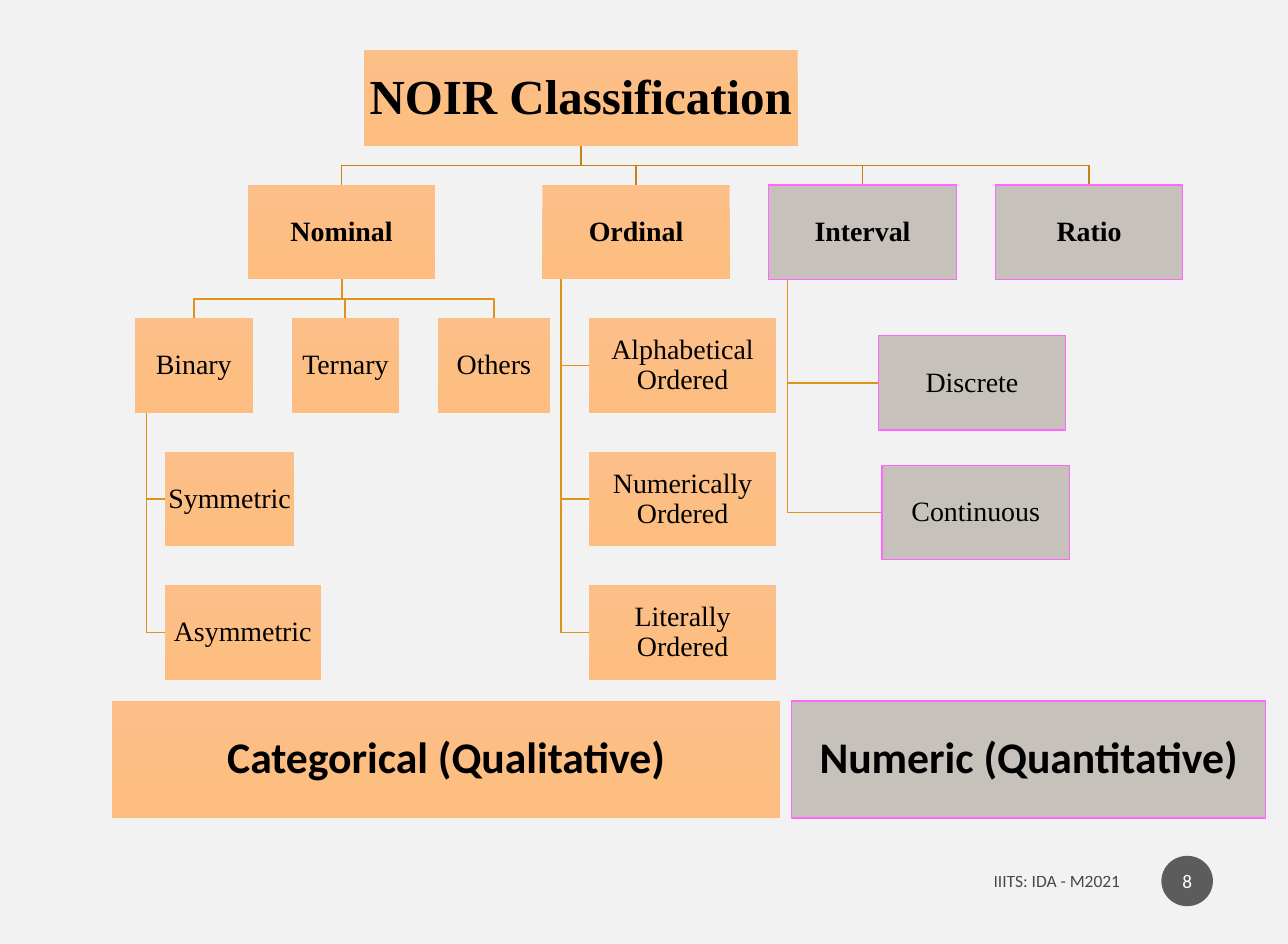
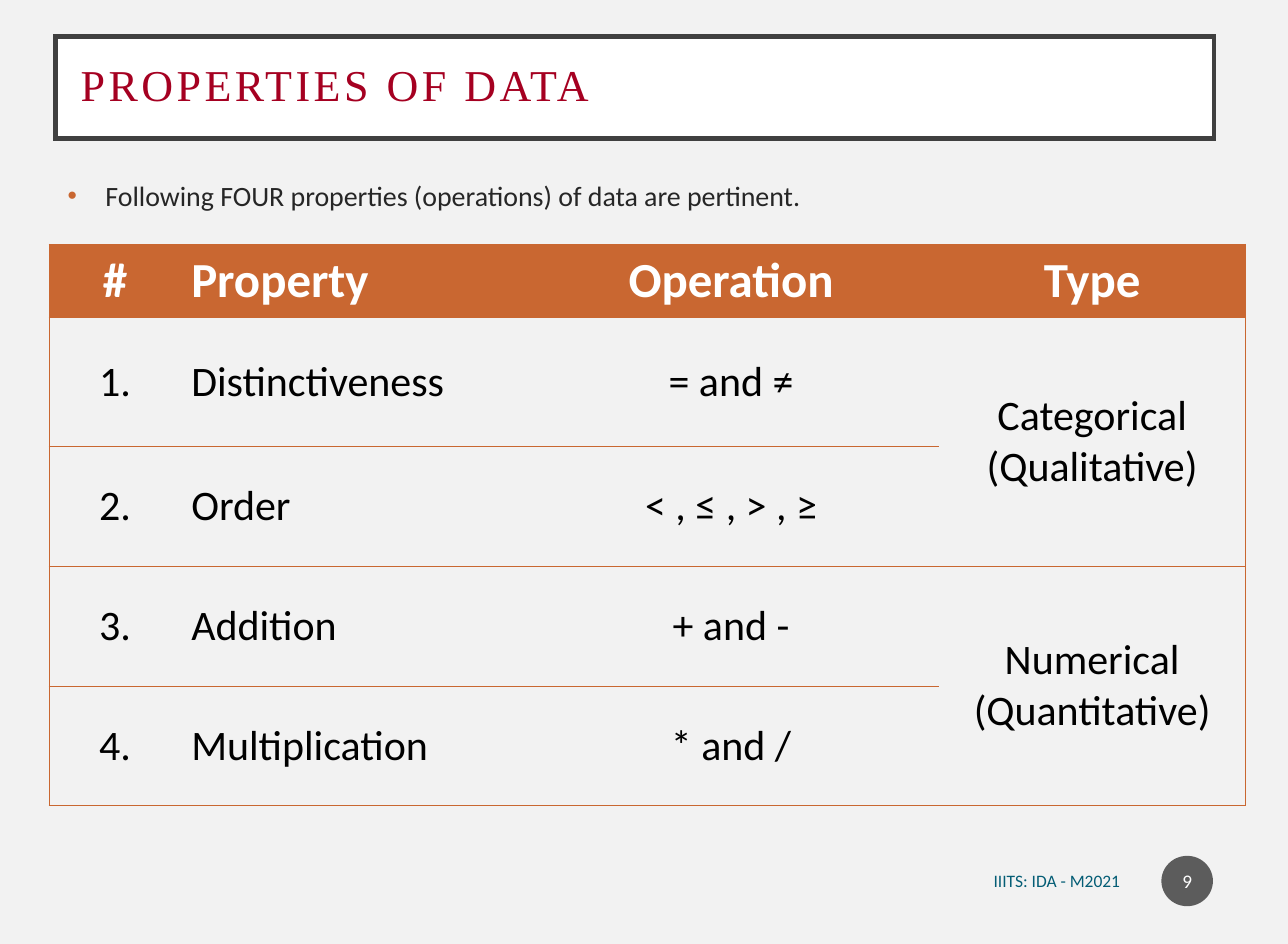
from dataclasses import dataclass

from lxml.etree import SubElement
from pptx import Presentation
from pptx.dml.color import RGBColor
from pptx.enum.shapes import MSO_SHAPE
from pptx.enum.text import MSO_ANCHOR, MSO_AUTO_SIZE, PP_ALIGN
from pptx.oxml import parse_xml
from pptx.oxml.ns import nsdecls, qn
from pptx.util import Cm, Inches, Pt


@dataclass(frozen=True)
class Theme:
    paper: str = "F2F2F2"
    white: str = "FFFFFF"
    ink: str = "000000"
    body_ink: str = "262626"
    badge: str = "1D1D1D"
    title_ink: str = "A50021"
    title_edge: str = "404040"
    accent: str = "C96731"
    footer_teal: str = "045D75"
    peach: tuple = ("FCBF87", "FDBD80")
    stone: str = "C6C1BA"
    stone_edge: str = "FF66FF"
    top_link: str = "C58217"
    link: str = "DF931A"
    serif: str = "Times New Roman"
    sans: str = "Calibri"
    root_size: float = 28
    node_size: float = 16
    band_size: float = 25
    title_size: float = 25.2
    head_size: float = 28
    cell_size: float = 24
    footer_size: float = 10
    badge_size: float = 11


THEME = Theme()
SLIDE_W, SLIDE_H = Cm(26), Cm(19.05)

# Content: the classification tree
FOOTER = "IIITS: IDA - M2021"
TIER_TOP, TIER_H, TIER_GAP = 1.47, 0.75, 0.31
WIDE = 1.49
ROOT = ("NOIR Classification", 2.89, 0.4, 3.45, 0.76)
# name, parent, numeric?, left, tier, width, how it joins its parent
NODES = [
    ("Nominal", "NOIR Classification", False, 1.97, 0, WIDE, "fan"),
    ("Ordinal", "NOIR Classification", False, 4.31, 0, WIDE, "fan"),
    ("Interval", "NOIR Classification", True, 6.11, 0, WIDE, "fan"),
    ("Ratio", "NOIR Classification", True, 7.91, 0, WIDE, "fan"),
    ("Binary", "Nominal", False, 1.07, 1, 0.94, "fan"),
    ("Ternary", "Nominal", False, 2.32, 1, 0.85, "fan"),
    ("Others", "Nominal", False, 3.48, 1, 0.89, "fan"),
    ("Symmetric", "Binary", False, 1.31, 2, 1.03, "hang"),
    ("Asymmetric", "Binary", False, 1.31, 3, 1.24, "hang"),
    ("Alphabetical Ordered", "Ordinal", False, 4.68, 1, WIDE, "hang"),
    ("Numerically Ordered", "Ordinal", False, 4.68, 2, WIDE, "hang"),
    ("Literally Ordered", "Ordinal", False, 4.68, 3, WIDE, "hang"),
    ("Discrete", "Interval", True, 6.98, 1.13, WIDE, "hang"),
    ("Continuous", "Interval", True, 7.01, 2.1, WIDE, "hang"),
]
BAND_TOP, BAND_H = 5.57, 0.93
BANDS = [
    ("Categorical (Qualitative)", False, 0.89, 5.31),
    ("Numeric (Quantitative)", True, 6.29, 3.77),
]

# Content: the properties table
TITLE = "PROPERTIES OF DATA"
LEAD = "Following FOUR properties (operations) of data are pertinent."
HEADER = ("#", "Property", "Operation", "Type")
PROPERTIES = [
    ("1.", "Distinctiveness", "= and ≠"),
    ("2.", "Order", "< , ≤ , > , ≥"),
    ("3.", "Addition", "+ and -"),
    ("4.", "Multiplication", "* and /"),
]
TYPES = {1: "Categorical\n(Qualitative)", 3: "Numerical\n(Quantitative)"}
COLUMNS = (1.05, 2.72, 3.3, 2.44)
ROWS = (0.58, 1.03, 0.95, 0.95, 0.95)


def rgb(code):
    return RGBColor.from_string(code)


def place(box):
    return [Inches(length) for length in box]


def write(frame, text, size, color, font=THEME.sans, bold=False,
          align=PP_ALIGN.CENTER, spacing=None):
    frame.text = text
    for paragraph in frame.paragraphs:
        paragraph.alignment = align
        if spacing:
            paragraph.line_spacing = spacing
        for run in paragraph.runs:
            run.font.size, run.font.name, run.font.bold = Pt(size), font, bold
            run.font.color.rgb = rgb(color)


def inset(frame, across, down):
    frame.word_wrap = True
    frame.auto_size = MSO_AUTO_SIZE.NONE
    frame.vertical_anchor = MSO_ANCHOR.MIDDLE
    frame.margin_left = frame.margin_right = Inches(across)
    frame.margin_top = frame.margin_bottom = Inches(down)


def fade(shape, color, percent=70):
    for tone in shape.element.iter(qn("a:srgbClr")):
        if tone.get("val") == color:
            SubElement(tone, qn("a:alpha")).set("val", str(percent * 1000))


def add_footer(slide, number, color, faded=False):
    label = slide.shapes.add_textbox(*place((6.69, 6.82, 2.31, 0.35)))
    inset(label.text_frame, 0.1, 0.05)
    write(label.text_frame, FOOTER, THEME.footer_size, color, align=PP_ALIGN.RIGHT)
    if faded:
        fade(label, color)
    badge = slide.shapes.add_shape(MSO_SHAPE.OVAL, *place((9.23, 6.8, 0.41, 0.4)))
    badge.shadow.inherit = False
    badge.fill.solid()
    badge.fill.fore_color.rgb = rgb(THEME.badge)
    badge.line.fill.background()
    inset(badge.text_frame, 0.02, 0.05)
    write(badge.text_frame, str(number), THEME.badge_size, THEME.white)
    fade(badge, THEME.badge)


def add_block(slide, text, box, numeric, size, font=THEME.serif, bold=True):
    block = slide.shapes.add_shape(MSO_SHAPE.RECTANGLE, *place(box))
    block.shadow.inherit = False
    if numeric:
        block.fill.solid()
        block.fill.fore_color.rgb = rgb(THEME.stone)
        block.line.color.rgb = rgb(THEME.stone_edge)
        block.line.width = Pt(0.75)
    else:
        block.fill.gradient()
        block.fill.gradient_angle = 270
        for stop, tone in zip(block.fill.gradient_stops, THEME.peach):
            stop.color.rgb = rgb(tone)
        block.line.fill.background()
    inset(block.text_frame, 0.01, 0.01)
    write(block.text_frame, text, size, THEME.ink, font, bold, spacing=0.9)


def add_link(slide, parent, child, joint, color):
    left, top, width, height = parent
    bottom = top + height
    child_left, child_top, child_width, child_height = child
    if joint == "fan":
        start, end = left + width / 2, child_left + child_width / 2
        middle = (bottom + child_top) / 2
        bends = [(start, middle), (end, middle), (end, child_top)]
    else:
        start, level = left + width / 10, child_top + child_height / 2
        bends = [(start, level), (child_left, level)]
    route = slide.shapes.build_freeform(Inches(start), Inches(bottom))
    route.add_line_segments([place(point) for point in bends], close=False)
    link = route.convert_to_shape()
    link.shadow.inherit = False
    link.fill.background()
    link.line.color.rgb = rgb(color)
    link.line.width = Pt(1)


def build_classification(deck):
    slide = deck.slides.add_slide(deck.slide_layouts[6])
    root, *root_box = ROOT
    boxes = {root: root_box}
    for name, _, _, left, tier, width, _ in NODES:
        boxes[name] = (left, TIER_TOP + tier * (TIER_H + TIER_GAP), width, TIER_H)
    # Links lie behind the blocks
    for name, parent, *_, joint in NODES:
        color = THEME.top_link if parent == root else THEME.link
        add_link(slide, boxes[parent], boxes[name], joint, color)
    add_block(slide, root, root_box, False, THEME.root_size)
    for name, parent, numeric, *_ in NODES:
        add_block(slide, name, boxes[name], numeric, THEME.node_size,
                  bold=parent == root)
    for name, numeric, left, width in BANDS:
        add_block(slide, name, (left, BAND_TOP, width, BAND_H), numeric,
                  THEME.band_size, THEME.sans)
    add_footer(slide, 8, THEME.ink, faded=True)


def set_borders(cell, edges):
    properties = cell._tc.get_or_add_tcPr()
    for position, edge in enumerate(edges):
        properties.insert(position, parse_xml(
            f'<a:ln{edge} {nsdecls("a")} w="6350"><a:solidFill>'
            f'<a:srgbClr val="{THEME.accent}"/></a:solidFill></a:ln{edge}>'))


def add_properties_table(slide):
    frame = slide.shapes.add_table(
        len(ROWS), len(COLUMNS),
        *place((0.39, 1.94, sum(COLUMNS), sum(ROWS))))
    table = frame.table
    # Plain table style without grid
    table.horz_banding = False
    table._tbl.tblPr.find(qn("a:tableStyleId")).text = (
        "{2D5ABB26-0587-4C30-8999-92F81FD0307C}")
    for column, width in zip(table.columns, COLUMNS):
        column.width = Inches(width)
    for row, height in zip(table.rows, ROWS):
        row.height = Inches(height)
    last = len(COLUMNS) - 1
    for top in TYPES:
        table.cell(top, last).merge(table.cell(top + 1, last))
    rows = [HEADER] + [(*entry, TYPES.get(number))
                       for number, entry in enumerate(PROPERTIES, 1)]
    for r, entries in enumerate(rows):
        for c, text in enumerate(entries):
            cell = table.cell(r, c)
            cell.margin_left = cell.margin_right = Inches(0.08)
            cell.margin_top = cell.margin_bottom = Inches(0.05)
            cell.vertical_anchor = MSO_ANCHOR.MIDDLE
            if r == 0:
                cell.fill.solid()
                cell.fill.fore_color.rgb = rgb(THEME.accent)
            else:
                cell.fill.background()
            sides = "L" * (c == 0) + "R" * (c == last)
            set_borders(cell, sides + ("B" if cell.is_spanned else "TB"))
            if text:
                write(cell.text_frame, text,
                      THEME.cell_size if r else THEME.head_size,
                      THEME.ink if r else THEME.white, bold=r == 0,
                      align=PP_ALIGN.LEFT if c == 1 else PP_ALIGN.CENTER)


def build_properties(deck):
    slide = deck.slides.add_slide(deck.slide_layouts[5])
    # Title
    title = slide.shapes.title
    title.left, title.top, title.width, title.height = place((0.44, 0.29, 9.21, 0.81))
    title.fill.solid()
    title.fill.fore_color.rgb = rgb(THEME.white)
    title.line.color.rgb = rgb(THEME.title_edge)
    title.line.width = Pt(2.5)
    edge = title.element.spPr.find(qn("a:ln"))
    SubElement(edge, qn("a:miter")).set("lim", "800000")
    inset(title.text_frame, 0.2, 0.2)
    write(title.text_frame, TITLE, THEME.title_size, THEME.title_ink, THEME.serif,
          align=PP_ALIGN.LEFT, spacing=0.9)
    title.text_frame.paragraphs[0].runs[0]._r.get_or_add_rPr().set("spc", "200")
    # Lead bullet
    lead = slide.shapes.add_textbox(*place((0.44, 1.37, 9.46, 0.57)))
    lead.text_frame.word_wrap = True
    write(lead.text_frame, LEAD, THEME.node_size, THEME.body_ink, align=PP_ALIGN.LEFT)
    bullet = lead.text_frame.paragraphs[0]._p.get_or_add_pPr()
    bullet.set("marL", str(Inches(0.3)))
    bullet.set("indent", str(Inches(-0.3)))
    SubElement(SubElement(bullet, qn("a:buClr")), qn("a:srgbClr")).set("val", THEME.accent)
    SubElement(bullet, qn("a:buSzPct")).set("val", "95000")
    SubElement(bullet, qn("a:buFont")).set("typeface", "Arial")
    SubElement(bullet, qn("a:buChar")).set("char", "•")
    add_footer(slide, 9, THEME.footer_teal)
    add_properties_table(slide)


def main():
    deck = Presentation()
    deck.slide_width, deck.slide_height = SLIDE_W, SLIDE_H
    backdrop = deck.slide_master.background.fill
    backdrop.solid()
    backdrop.fore_color.rgb = rgb(THEME.paper)
    build_classification(deck)
    build_properties(deck)
    deck.save("out.pptx")


if __name__ == "__main__":
    main()
